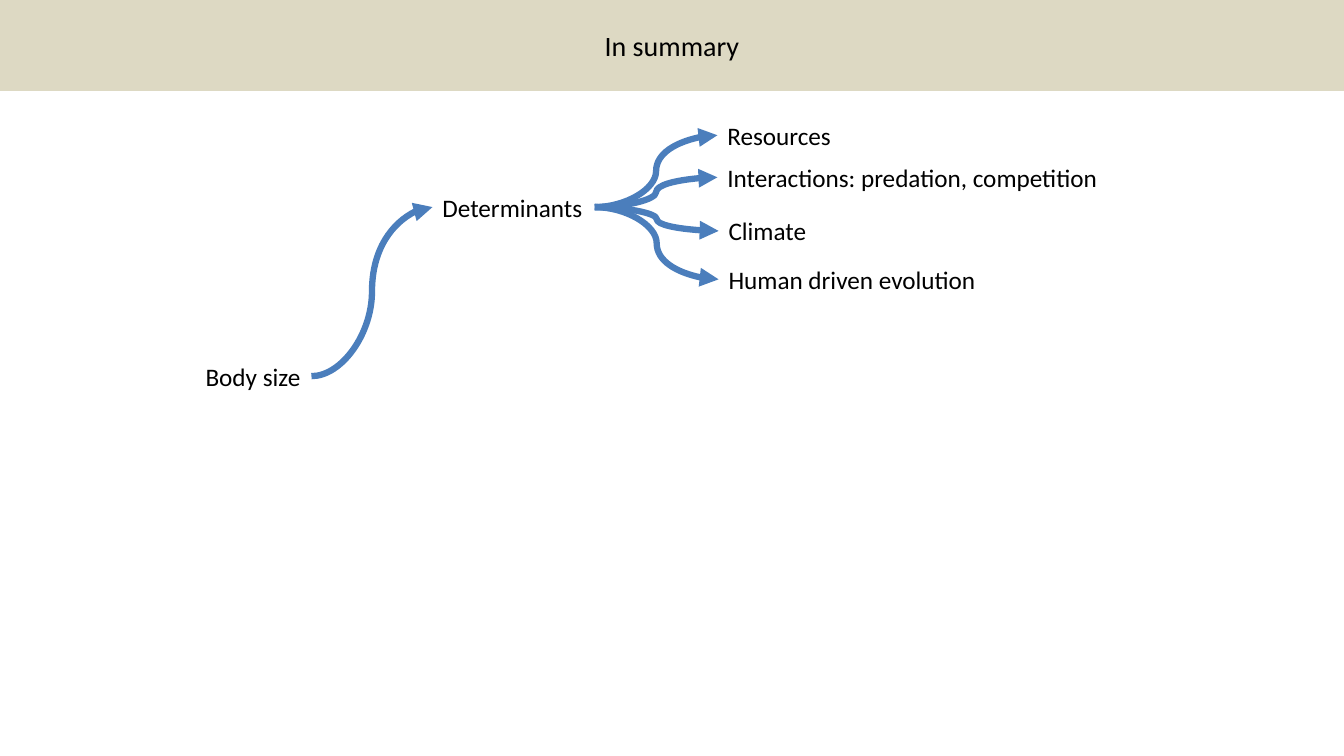
from lxml.etree import SubElement
from pptx import Presentation
from pptx.dml.color import RGBColor
from pptx.enum.shapes import MSO_CONNECTOR
from pptx.enum.text import MSO_ANCHOR, MSO_AUTO_SIZE, PP_ALIGN
from pptx.oxml.ns import qn
from pptx.util import Cm, Pt

BLACK = RGBColor(0x00, 0x00, 0x00)
BLUE = RGBColor(0x4B, 0x7E, 0xBC)
BEIGE = RGBColor(0xDD, 0xD9, 0xC3)

WIDTH = Cm(33.87)
LABEL_HEIGHT = 1.02
TITLE_FONT = {"name": "Calibri", "size": Pt(20)}
LABEL_FONT = {"name": "Calibri", "size": Pt(18)}
LABEL_FRAME = {"word_wrap": False, "auto_size": MSO_AUTO_SIZE.SHAPE_TO_FIT_TEXT}
TITLE_FRAME = {"word_wrap": True, "auto_size": MSO_AUTO_SIZE.NONE,
               "vertical_anchor": MSO_ANCHOR.MIDDLE}
TITLE_BOX = {"left": 0, "top": 0, "width": WIDTH, "height": Cm(2.29)}
DETERMINANTS = [
    ("Resources", 18.08, 2.9, 3.15),
    ("Interactions: predation, competition", 18.08, 3.96, 9.96),
    ("Climate", 18.11, 5.31, 2.49),
    ("Human driven evolution", 18.11, 6.53, 6.81),
]


def apply(target, values):
    """Set each named attribute of the target."""
    for name, value in values.items():
        setattr(target, name, value)


def write(sp, text, frame, font, align):
    """Fill a shape with one formatted paragraph."""
    tf = sp.text_frame
    apply(tf, frame)
    p = tf.paragraphs[0]
    p.alignment = align
    r = p.add_run()
    r.text = text
    apply(r.font, font)
    r.font.color.rgb = BLACK


def add_title(s, text):
    """Turn the title placeholder into a coloured band across the top."""
    sp = s.shapes.title
    apply(sp, TITLE_BOX)
    sp.fill.solid()
    sp.fill.fore_color.rgb = BEIGE
    write(sp, text, TITLE_FRAME, TITLE_FONT, PP_ALIGN.CENTER)


def add_label(s, text, left, top, width):
    """Add a one-line label and return it."""
    sp = s.shapes.add_textbox(Cm(left), Cm(top), Cm(width), Cm(LABEL_HEIGHT))
    write(sp, text, LABEL_FRAME, LABEL_FONT, PP_ALIGN.LEFT)
    return sp


def add_branch(s, parent, child):
    """Join the right side of one label to the left side of another."""
    cxn = s.shapes.add_connector(MSO_CONNECTOR.CURVE, 0, 0, 0, 0)
    cxn.begin_connect(parent, 3)
    cxn.end_connect(child, 1)
    cxn.line.color.rgb = BLUE
    cxn.line.width = Pt(4.5)
    SubElement(cxn.line._get_or_add_ln(), qn("a:tailEnd"), type="triangle")
    SubElement(cxn._element.spPr, qn("a:effectLst"))


def main():
    """Build the summary slide."""
    prs = Presentation()
    apply(prs, {"slide_width": WIDTH, "slide_height": Cm(19.05)})
    s = prs.slides.add_slide(prs.slide_layouts[5])
    add_title(s, "In summary")
    body_size = add_label(s, "Body size", 4.93, 8.97, 2.92)
    determinants = add_label(s, "Determinants", 10.9, 4.71, 4.09)
    add_branch(s, body_size, determinants)
    for item in DETERMINANTS:
        add_branch(s, determinants, add_label(s, *item))
    prs.save("out.pptx")


if __name__ == "__main__":
    main()
